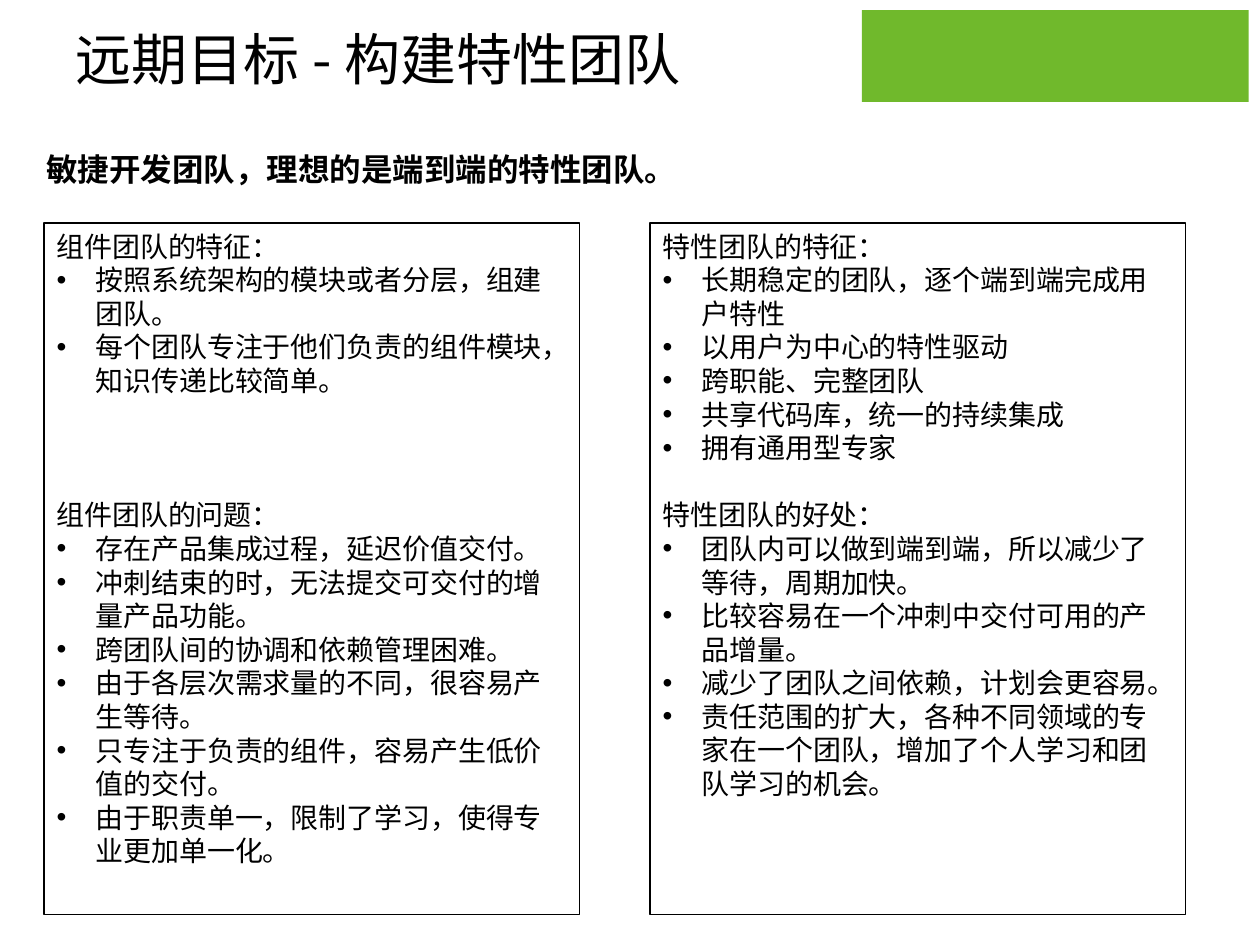
from lxml.etree import SubElement
from pptx import Presentation
from pptx.dml.color import RGBColor
from pptx.enum.shapes import MSO_SHAPE
from pptx.enum.text import MSO_ANCHOR, PP_ALIGN
from pptx.oxml.ns import qn
from pptx.util import Inches, Pt

BLACK = RGBColor(0x00, 0x00, 0x00)
GREEN = RGBColor(0x70, 0xB9, 0x2C)
TITLE_FONT, BODY_FONT = "Noto Sans CJK SC", "Calibri"
BODY_SIZE, LINE_PITCH = 16, 19.2

TITLE = "远期目标 - 构建特性团队"
SUMMARY = "敏捷开发团队，理想的是端到端的特性团队。"
# One panel per team type: (heading, free lines above it, bullets)
PANELS = [
    [
        ("组件团队的特征：", 0, [
            "按照系统架构的模块或者分层，组建团队。",
            "每个团队专注于他们负责的组件模块，知识传递比较简单。",
        ]),
        ("组件团队的问题：", 3, [
            "存在产品集成过程，延迟价值交付。",
            "冲刺结束的时，无法提交可交付的增量产品功能。",
            "跨团队间的协调和依赖管理困难。",
            "由于各层次需求量的不同，很容易产生等待。",
            "只专注于负责的组件，容易产生低价值的交付。",
            "由于职责单一，限制了学习，使得专业更加单一化。",
        ]),
    ],
    [
        ("特性团队的特征：", 0, [
            "长期稳定的团队，逐个端到端完成用户特性",
            "以用户为中心的特性驱动",
            "跨职能、完整团队",
            "共享代码库，统一的持续集成",
            "拥有通用型专家",
        ]),
        ("特性团队的好处：", 1, [
            "团队内可以做到端到端，所以减少了等待，周期加快。",
            "比较容易在一个冲刺中交付可用的产品增量。",
            "减少了团队之间依赖，计划会更容易。",
            "责任范围的扩大，各种不同领域的专家在一个团队，增加了个人学习和团队学习的机会。",
        ]),
    ],
]
PANEL_LEFT, PANEL_STEP, PANEL_TOP = 0.35, 4.81, 1.77
PANEL_W, PANEL_H = 4.25, 5.49


def format_text(p, font, size, bold=False):
    p.alignment = PP_ALIGN.LEFT
    for r in p.runs:
        r.font.name, r.font.size, r.font.bold = font, Pt(size), bold
        r.font.color.rgb = BLACK
        SubElement(r._r.get_or_add_rPr(), qn("a:ea"), typeface=font)


def add_bullet(p):
    pPr = p._p.get_or_add_pPr()
    indent = Inches(0.31)
    pPr.set("marL", str(indent))
    pPr.set("indent", str(-indent))
    SubElement(pPr, qn("a:buFont"), typeface="Arial")
    SubElement(pPr, qn("a:buChar"), char="•")


def add_rect(s, left, top, width, height):
    sp = s.shapes.add_shape(MSO_SHAPE.RECTANGLE, Inches(left), Inches(top),
                            Inches(width), Inches(height))
    sp.shadow.inherit = False
    return sp


def add_panel(s, left, sections):
    sp = add_rect(s, left, PANEL_TOP, PANEL_W, PANEL_H)
    sp.fill.background()
    sp.line.color.rgb = BLACK
    sp.line.width = Pt(0.75)
    tf = sp.text_frame
    tf.word_wrap = True
    tf.vertical_anchor = MSO_ANCHOR.TOP
    lines = [(text, gap if i == 0 else 0, i > 0)
             for heading, gap, bullets in sections
             for i, text in enumerate([heading, *bullets])]
    for i, (text, gap, bulleted) in enumerate(lines):
        p = tf.add_paragraph() if i else tf.paragraphs[0]
        p.text = text
        format_text(p, BODY_FONT, BODY_SIZE)
        p.space_before = Pt(gap * LINE_PITCH)
        if bulleted:
            add_bullet(p)


prs = Presentation()
prs.slide_width, prs.slide_height = Inches(10), Inches(7.5)
s = prs.slides.add_slide(prs.slide_layouts[5])

# Title over the green corner block
block = add_rect(s, 6.84, 0.08, 3.07, 0.73)
block.fill.solid()
block.fill.fore_color.rgb = GREEN
block.line.fill.background()
title = s.shapes.title
title.left, title.top = Inches(0.5), Inches(0.18)
title.width, title.height = Inches(7.81), Inches(0.56)
title.text_frame.text = TITLE
title.text_frame.vertical_anchor = MSO_ANCHOR.MIDDLE
format_text(title.text_frame.paragraphs[0], TITLE_FONT, 32)

# Summary line
box = s.shapes.add_textbox(Inches(0.27), Inches(1.14), Inches(9.14), Inches(0.4))
box.text_frame.word_wrap = True
box.text_frame.text = SUMMARY
format_text(box.text_frame.paragraphs[0], BODY_FONT, 18, bold=True)

# Team panels
for col, sections in enumerate(PANELS):
    add_panel(s, PANEL_LEFT + col * PANEL_STEP, sections)

prs.save("out.pptx")
